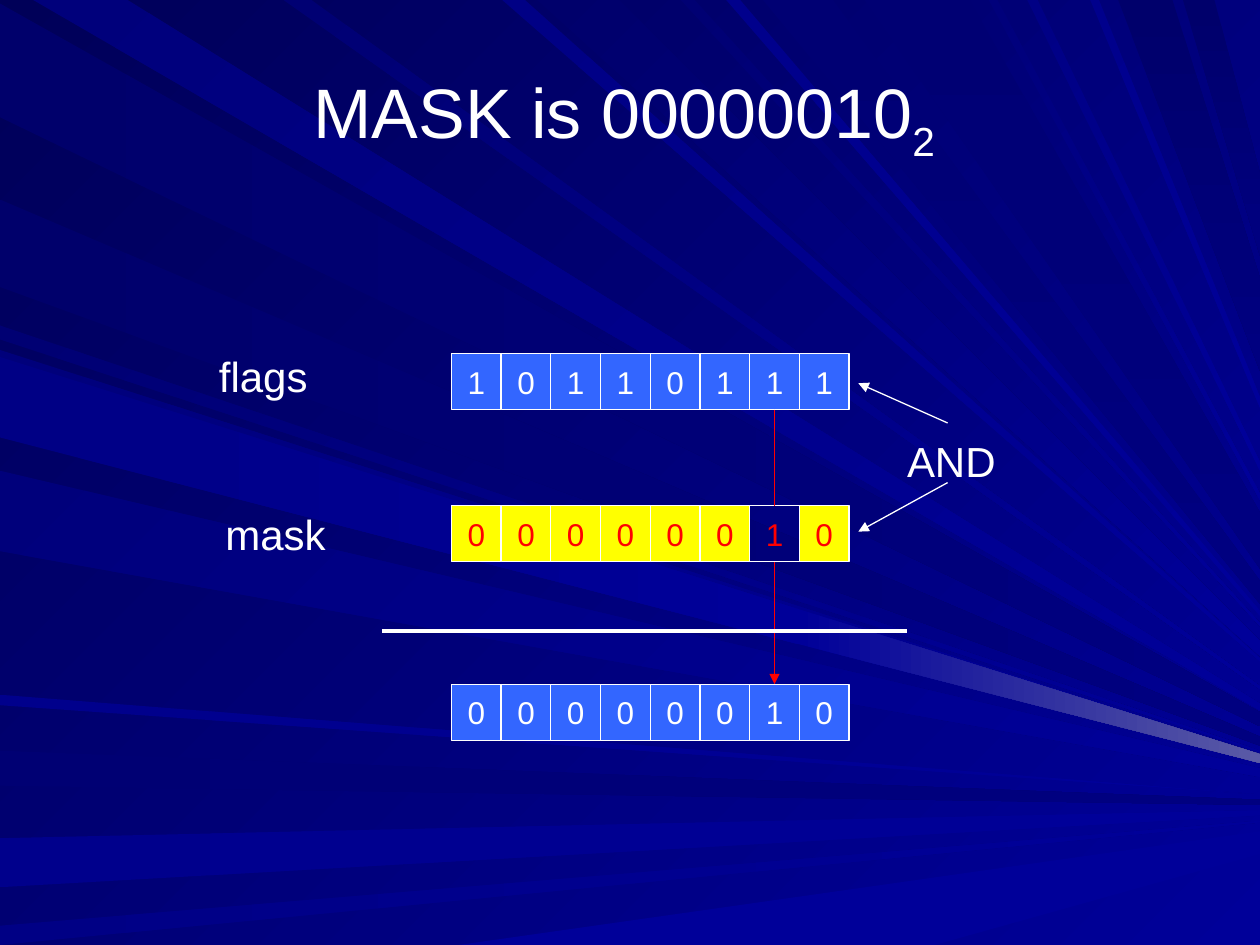
from pptx import Presentation
from pptx.dml.color import RGBColor
from pptx.enum.shapes import MSO_CONNECTOR, MSO_SHAPE
from pptx.enum.text import MSO_ANCHOR, PP_ALIGN
from pptx.oxml.ns import qn
from pptx.util import Pt
from lxml.etree import SubElement


class Theme:
    font = "Arial"
    title, label, digit = 40, 24, 18
    white, red, blue, yellow = "FFFFFF", "FF0000", "3366FF", "FFFF00"
    night, navy, royal, glow = "000058", "000080", "000099", "5A5AA6"
    ink, deep, dusk, mid, soft = "00006B", "000073", "00007B", "000085", "00008C"


def write(frame, text, size, color=Theme.white, align=PP_ALIGN.LEFT,
          anchor=MSO_ANCHOR.TOP, wrap=False, base=0):
    """Append a run to the first paragraph of a text frame and format it."""
    frame.word_wrap = wrap
    frame.vertical_anchor = anchor
    para = frame.paragraphs[0]
    para.alignment = align
    run = para.add_run()
    run.text = text
    run.font.name = Theme.font
    run.font.size = Pt(size)
    run.font.color.rgb = RGBColor.from_string(color)
    if base:
        run.font._element.set("baseline", str(base * 1000))


def link(shapes, start, end, color, width, head=False):
    """Draw a straight line, with an arrowhead at its end if asked."""
    wire = shapes.add_connector(MSO_CONNECTOR.STRAIGHT, *map(Pt, start + end))
    wire.line.color.rgb = RGBColor.from_string(color)
    wire.line.width = Pt(width)
    if head:
        SubElement(wire.line._get_or_add_ln(), qn("a:tailEnd"), type="triangle")
    SubElement(wire._element.spPr, qn("a:effectLst"))


wide, high = 720, 540
deck = Presentation()
deck.slide_width, deck.slide_height = Pt(wide), Pt(high)
slide = deck.slides.add_slide(deck.slide_layouts[5])
shapes = slide.shapes

# Background: rays run from the slide's edges to one point right of the slide
fills = [(slide.background.fill, Theme.night, Theme.royal, 45)]
fan = shapes.add_group_shape()
apex = (815, 461)
top, side, base = [(lambda n: (n, 0)), (lambda n: (0, n)), (lambda n: (n, high))]
for edge, near, far, first, last, angle in (
    (side, 2, 67, Theme.ink, Theme.navy, 0),
    (top, 19, 73, Theme.dusk, Theme.royal, 45),
    (side, 429, 449, Theme.deep, Theme.navy, 0),
    (side, 479, 507, Theme.soft, Theme.royal, 0),
    (side, 529, 540, Theme.mid, Theme.royal, 0),
    (base, 262, 534, Theme.royal, Theme.royal, 0),
    (side, 186, 194, Theme.deep, Theme.royal, 45),
    (side, 114, 164, Theme.ink, Theme.navy, 0),
    (top, 287, 300, Theme.mid, Theme.royal, 45),
    (top, 307, 354, Theme.ink, Theme.royal, 45),
    (top, 389, 397, Theme.deep, Theme.royal, 45),
    (top, 436, 476, Theme.deep, Theme.navy, 90),
    (top, 639, 670, Theme.ink, Theme.navy, 90),
    (top, 676, 694, Theme.ink, Theme.navy, 90),
    (side, 200, 246, Theme.dusk, Theme.royal, 45),
    (side, 269, 315, Theme.dusk, Theme.royal, 45),
    (side, 397, 403, Theme.soft, Theme.royal, 0),
    (top, 162, 178, Theme.deep, Theme.royal, 45),
    (top, 415, 423, Theme.soft, Theme.royal, 45),
    (top, 494, 554, Theme.deep, Theme.navy, 90),
    (top, 565, 570, Theme.dusk, Theme.royal, 45),
    (top, 587, 593, Theme.mid, Theme.royal, 45),
    (top, 623, 628, Theme.soft, Theme.royal, 45),
    (side, 204, 250, Theme.mid, Theme.royal, 0),
    (side, 204, 250, Theme.royal, Theme.glow, 0),
):
    a, b = edge(near), edge(far)
    begin = 0.56 if last == Theme.glow else 0
    spots = []
    for (x, y), ends in ((a, (0, 1)), (b, (1, 0))):
        stop = (wide - x) / (apex[0] - x)
        if first == Theme.mid and edge is side and near == 204:
            stop = 0.56
        for end in ends:
            t = stop if end else begin
            spots.append((x + t * (apex[0] - x), y + t * (apex[1] - y)))
    pen = fan.shapes.build_freeform(*spots[0], scale=Pt(1))
    pen.add_line_segments(spots[1:], close=True)
    ray = pen.convert_to_shape()
    ray.shadow.inherit = False
    ray.line.fill.background()
    fills.append((ray.fill, first, last, angle))
shapes._spTree.insert(2, fan._element)

for fill, first, last, angle in fills:
    fill.gradient()
    fill.gradient_angle = -angle % 360
    for stop, color in zip(fill.gradient_stops, (first, last)):
        stop.color.rgb = RGBColor.from_string(color)

# Title
title = shapes.title
title.left, title.top, title.width, title.height = map(Pt, (36, 21.6, 648, 90))
for text, shift in (("MASK is 00000010", 0), ("2 ", -25)):
    write(title.text_frame, text, Theme.title, align=PP_ALIGN.CENTER,
          anchor=MSO_ANCHOR.MIDDLE, wrap=True, base=shift)

# Bit rows, with the masked bit traced from top to bottom
left, step, tall = 258, 28.4, 32
flags, mask, result = 202, 289, 391
trace = left + 6.5 * step
link(shapes, (trace, mask + tall), (trace, result), Theme.red, 1, head=True)

for row, bits, color, ink in (
    (flags, "10110111", Theme.blue, Theme.white),
    (mask, "00000010", Theme.yellow, Theme.red),
    (result, "00000010", Theme.blue, Theme.white),
):
    for col, bit in enumerate(bits):
        cell = shapes.add_shape(MSO_SHAPE.RECTANGLE, Pt(left + col * step),
                                Pt(row), Pt(step), Pt(tall))
        cell.shadow.inherit = False
        cell.line.color.rgb = RGBColor.from_string(Theme.white)
        cell.line.width = Pt(0.75)
        if row == mask and bit == "1":
            cell.fill.background()
        else:
            cell.fill.solid()
            cell.fill.fore_color.rgb = RGBColor.from_string(color)
        write(cell.text_frame, bit, Theme.digit, ink, PP_ALIGN.CENTER,
              MSO_ANCHOR.MIDDLE)

link(shapes, (trace, flags + tall), (trace, mask), Theme.red, 0.75)

# Labels, operator arrows and sum line
for text, x, y, width in (("flags", 118, 196.5, 65.5), ("mask", 121.7, 287.3, 72),
                          ("AND", 511.2, 245.5, 65.5)):
    box = shapes.add_textbox(Pt(x), Pt(y), Pt(width), Pt(36))
    write(box.text_frame, text, Theme.label)

for start, end in (((541.5, 241.7), (490.5, 219)), ((541.5, 275.8), (490.5, 303.8))):
    link(shapes, start, end, Theme.white, 0.75, head=True)
link(shapes, (218.2, 360.7), (518.4, 360.7), Theme.white, 2.25)

deck.save("out.pptx")
